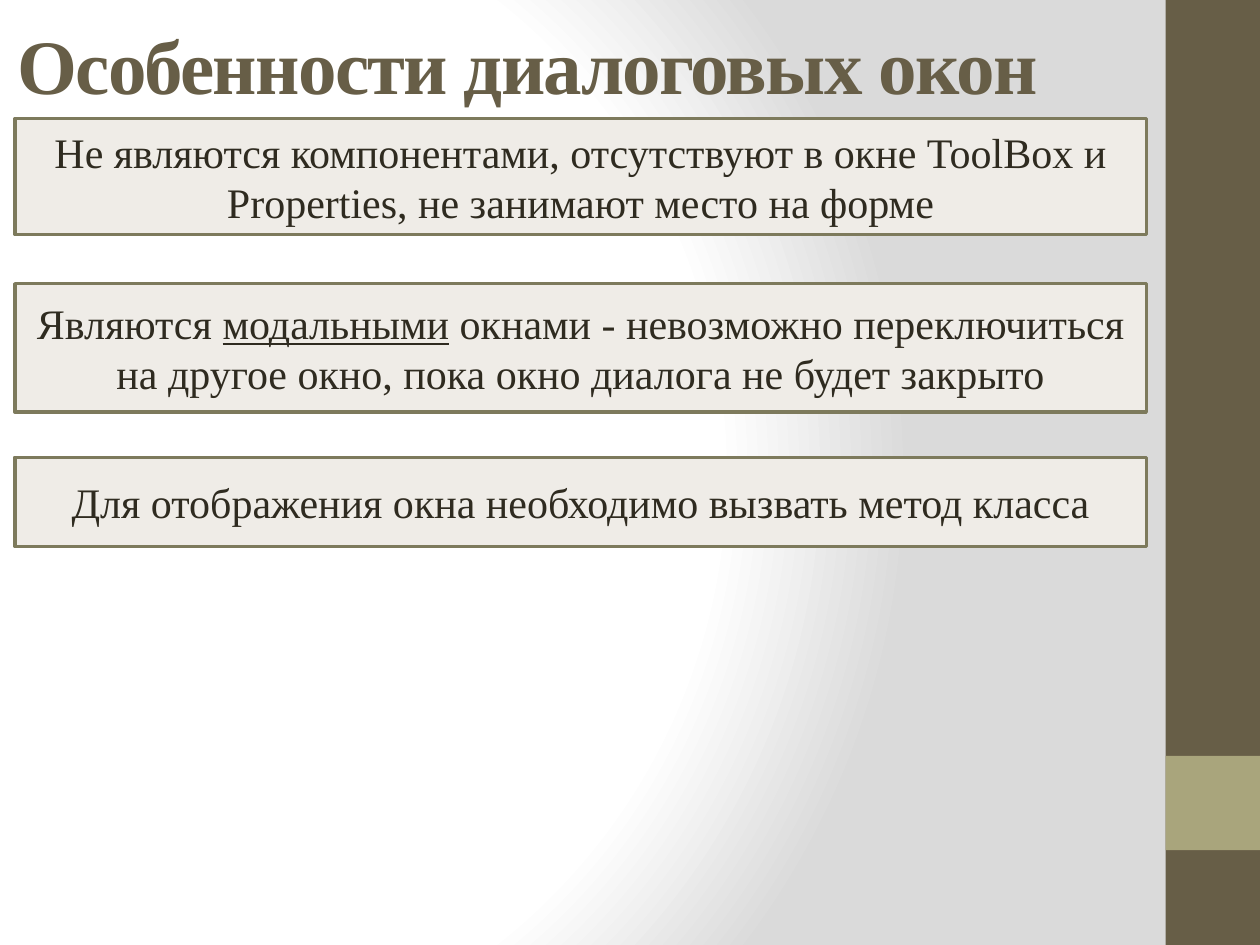
from dataclasses import dataclass

from lxml.etree import fromstring
from pptx import Presentation
from pptx.dml.color import RGBColor
from pptx.enum.shapes import MSO_SHAPE
from pptx.enum.text import MSO_ANCHOR, PP_ALIGN
from pptx.util import Cm, Pt

NS = "http://schemas.openxmlformats.org/drawingml/2006/main"


@dataclass(frozen=True)
class Theme:
    font: str = "Times New Roman"
    dark: str = "675E47"
    accent: str = "A9A57C"
    box: str = "EFECE7"
    border: str = "7D7A5C"
    text: str = "2F2B20"
    bg_inner: str = "FFFFFF"
    bg_outer: str = "DADADA"
    title_size: int = 44
    text_size: int = 24
    border_width: int = 2


THEME = Theme()
TITLE = "Особенности диалоговых окон"
FEATURES = [
    (2.39, 2.34, [("Не являются компонентами, отсутствуют в окне ToolBox и "
                   "Properties, не занимают место на форме", False)]),
    (5.72, 2.59, [("Являются ", False), ("модальными", True),
                  (" окнами - невозможно переключиться на другое окно, "
                   "пока окно диалога не будет закрыто", False)]),
    (9.22, 1.8, [("Для отображения окна необходимо вызвать метод класса", False)]),
]


def set_attrs(obj, values):
    for name, value in values.items():
        setattr(obj, name, value)


def set_background(s):
    s.background.fill.gradient()
    grad = s.element.xpath(".//p:bgPr/a:gradFill")[0]
    stops = "".join(
        f'<a:gs pos="{pos * 1000}"><a:srgbClr val="{color}"/></a:gs>'
        for pos, color in ((0, THEME.bg_inner), (75, THEME.bg_inner), (100, THEME.bg_outer)))
    grad.getparent().replace(grad, fromstring(
        f'<a:gradFill xmlns:a="{NS}" rotWithShape="1"><a:gsLst>{stops}</a:gsLst>'
        '<a:path path="circle"><a:fillToRect l="20000" t="50000" r="100000" b="50000"/>'
        '</a:path></a:gradFill>'))


def add_rect(s, left, top, width, height, fill, border=None):
    sp = s.shapes.add_shape(MSO_SHAPE.RECTANGLE, Cm(left), Cm(top), Cm(width), Cm(height))
    sp.shadow.inherit = False
    sp.fill.solid()
    sp.fill.fore_color.rgb = RGBColor.from_string(fill)
    if border:
        sp.line.color.rgb = RGBColor.from_string(border)
        sp.line.width = Pt(THEME.border_width)
    else:
        sp.line.fill.background()
    return sp


def add_run(p, text, color, **values):
    r = p.add_run()
    r.text = text
    set_attrs(r.font, {"name": THEME.font, **values})
    r.font.color.rgb = RGBColor.from_string(color)
    return r


def add_title(s, text):
    tf = s.shapes.add_textbox(Cm(0.1), Cm(0), Cm(23.22), Cm(2.34)).text_frame
    set_attrs(tf, {"word_wrap": True, "vertical_anchor": MSO_ANCHOR.BOTTOM})
    r = add_run(tf.paragraphs[0], text, THEME.dark, size=Pt(THEME.title_size), bold=True)
    r.font._element.set("spc", "-100")


def add_feature(s, top, height, runs):
    tf = add_rect(s, 0.3, top, 22.81, height, THEME.box, THEME.border).text_frame
    set_attrs(tf, {"word_wrap": True, "vertical_anchor": MSO_ANCHOR.MIDDLE})
    p = tf.paragraphs[0]
    p.alignment = PP_ALIGN.CENTER
    for text, underline in runs:
        add_run(p, text, THEME.text, size=Pt(THEME.text_size), underline=underline)


def main():
    prs = Presentation()
    set_attrs(prs, {"slide_width": Cm(25.4), "slide_height": Cm(19.05)})
    s = prs.slides.add_slide(prs.slide_layouts[6])
    set_background(s)
    add_rect(s, 23.5, 0, 1.9, 19.05, THEME.dark)
    add_rect(s, 23.5, 15.24, 1.9, 1.9, THEME.accent)
    add_title(s, TITLE)
    for top, height, runs in FEATURES:
        add_feature(s, top, height, runs)
    prs.save("out.pptx")


main()
